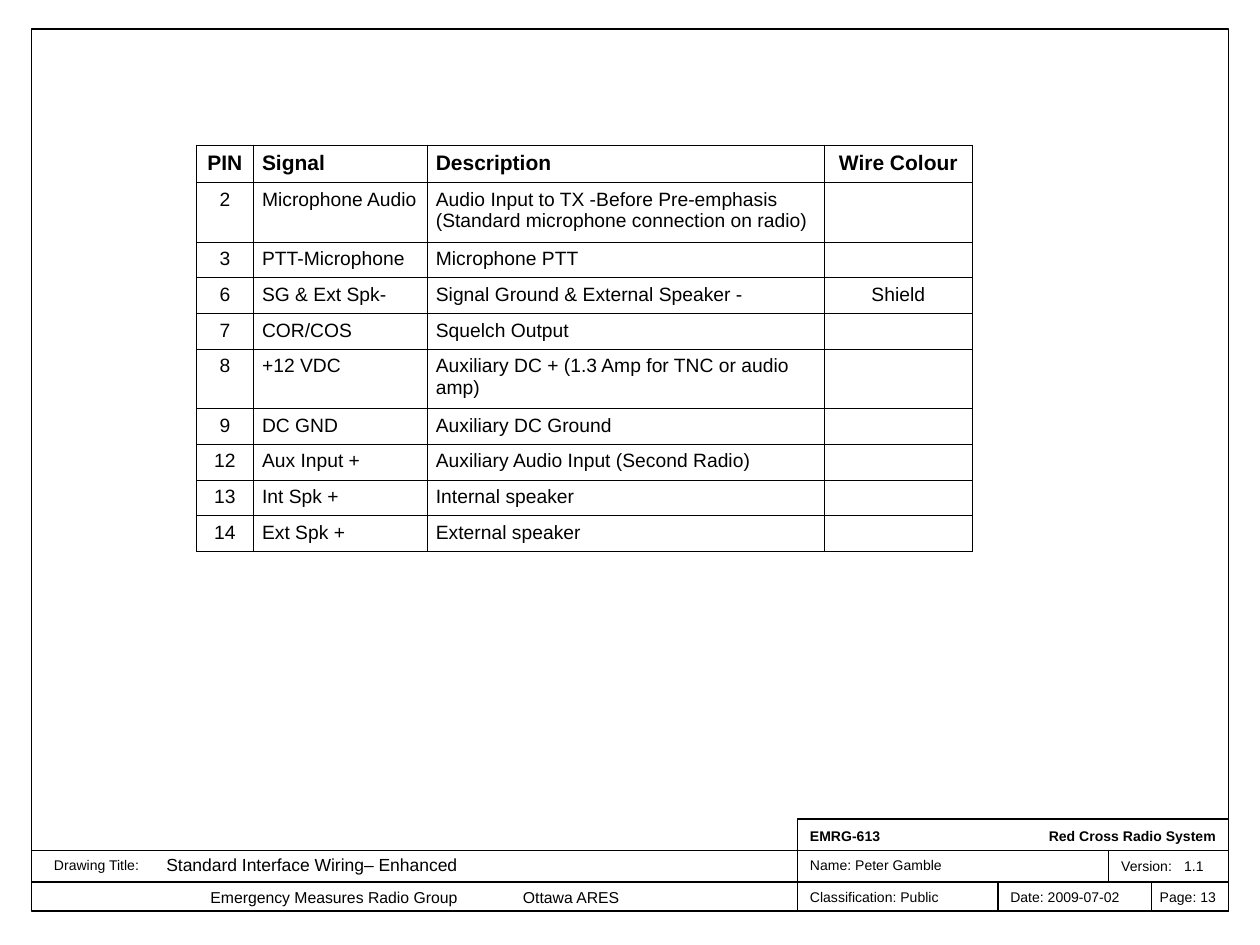
"""Build the connector pin-out drawing sheet with its title block."""
from lxml import etree
from pptx import Presentation
from pptx import util as u
from pptx.dml.color import RGBColor
from pptx.enum import shapes, text
from pptx.oxml.ns import qn

BLACK = RGBColor(0, 0, 0)
WHITE = RGBColor(255, 255, 255)
FONT = "Arial"
LEFT, CENTER, RIGHT = text.PP_ALIGN.LEFT, text.PP_ALIGN.CENTER, text.PP_ALIGN.RIGHT

TITLE = "Standard Interface Wiring– Enhanced"
PINS = [
    ("PIN", "Signal", "Description", "Wire Colour"),
    ("2", "Microphone Audio",
     "Audio Input to TX -Before Pre-emphasis\n(Standard microphone connection on radio)", ""),
    ("3", "PTT-Microphone", "Microphone PTT", ""),
    ("6", "SG & Ext Spk-", "Signal Ground & External Speaker -", "Shield"),
    ("7", "COR/COS", "Squelch Output", ""),
    ("8", "+12 VDC", "Auxiliary DC + (1.3 Amp for TNC or audio amp)", ""),
    ("9", "DC GND", "Auxiliary DC Ground", ""),
    ("12", "Aux Input +", "Auxiliary Audio Input (Second Radio)", ""),
    ("13", "Int Spk +", "Internal speaker", ""),
    ("14", "Ext Spk +", "External speaker", ""),
]
COLUMNS = [(0.45, CENTER), (1.38, LEFT), (3.15, LEFT), (1.18, CENTER)]
TABLE_LEFT, TABLE_TOP, TABLE_HEIGHT = 1.56, 1.15, 3.22
HEADER_HEIGHT, TALL_HEIGHT, TALL_ROWS = 0.3, 0.47, (1, 5)

FRAME_LEFT, FRAME_TOP, FRAME_RIGHT, FRAME_BOTTOM = 0.25, 0.23, 9.75, 7.23
BLOCK_LEFT, BLOCK_TOP, ROW_1, ROW_2 = 6.33, 6.5, 6.75, 7
DATE_X, VERSION_X, PAGE_X = 7.92, 8.8, 9.14

FRAMES = [(FRAME_LEFT, FRAME_TOP), (BLOCK_LEFT, BLOCK_TOP)]
RULES = [
    (FRAME_LEFT, ROW_1, FRAME_RIGHT, ROW_1),
    (FRAME_LEFT, ROW_2, FRAME_RIGHT, ROW_2),
    (VERSION_X, ROW_1, VERSION_X, ROW_2),
    (DATE_X, ROW_2, DATE_X, FRAME_BOTTOM),
    (PAGE_X, ROW_2, PAGE_X, FRAME_BOTTOM),
]
LABELS = [
    ("EMRG-613", BLOCK_LEFT, 6.52, 1, dict(bold=True)),
    ("Red Cross Radio System", 7.33, 6.52, 2.42, dict(bold=True, align=RIGHT)),
    ("Name: Peter Gamble", BLOCK_LEFT, ROW_1, 2.17, {}),
    ("Version:\t1.1", VERSION_X, 6.76, 0.89, dict(tab=0.5)),
    ("Classification: Public", BLOCK_LEFT, ROW_2, 1.58, {}),
    ("Date: 2009-07-02", DATE_X, ROW_2, 1.23, {}),
    ("Page: 13", 9.08, ROW_2, 0.67, dict(align=RIGHT)),
    ("Drawing Title:", 0.33, ROW_1, 1.08, {}),
    ("Emergency Measures Radio Group\tOttawa ARES", 0.33, ROW_2, 5.92,
     dict(size=9, inset=1.34, tab=2.48)),
]


def write(tf, content, size=8, bold=False, align=LEFT, inset=0.1, tab=None):
    """Fill a text frame, one paragraph per line of content."""
    tf.word_wrap = True
    tf.vertical_anchor = text.MSO_ANCHOR.TOP
    tf.margin_left, tf.margin_right = u.Inches(inset), u.Inches(min(inset, 0.1))
    tf.margin_top = tf.margin_bottom = u.Inches(0.05)
    for i, line in enumerate(content.split("\n")):
        p = tf.add_paragraph() if i else tf.paragraphs[0]
        p.alignment = align
        if tab:
            tabs = etree.SubElement(p._p.get_or_add_pPr(), qn("a:tabLst"))
            etree.SubElement(tabs, qn("a:tab"), pos=str(u.Inches(tab)), algn="l")
        if not line:
            etree.SubElement(p._p, qn("a:endParaRPr"), sz=str(size * 100))
            continue
        r = p.add_run()
        r.text = line
        r.font.name, r.font.size, r.font.bold = FONT, u.Pt(size), bold
        r.font.color.rgb = BLACK


def add_frame(s, left, top):
    sp = s.shapes.add_shape(shapes.MSO_SHAPE.RECTANGLE, u.Inches(left), u.Inches(top),
                            u.Inches(FRAME_RIGHT - left), u.Inches(FRAME_BOTTOM - top))
    sp.shadow.inherit = False
    sp.fill.background()
    sp.line.color.rgb, sp.line.width = BLACK, u.Pt(0.75)


def add_rule(s, *ends):
    ln = s.shapes.add_connector(shapes.MSO_CONNECTOR.STRAIGHT, *map(u.Inches, ends))
    ln.line.color.rgb, ln.line.width = BLACK, u.Pt(0.75)
    etree.SubElement(ln._element.spPr, qn("a:effectLst"))


def add_borders(cell):
    tc_pr = cell._tc.get_or_add_tcPr()
    for i, side in enumerate(("lnL", "lnR", "lnT", "lnB")):
        ln = etree.Element(qn(f"a:{side}"), w=str(u.Pt(0.45)))
        fill = etree.SubElement(ln, qn("a:solidFill"))
        etree.SubElement(fill, qn("a:srgbClr"), val=str(BLACK))
        tc_pr.insert(i, ln)


def add_pin_table(s):
    width = sum(w for w, _ in COLUMNS)
    tbl = s.shapes.add_table(len(PINS), len(COLUMNS), u.Inches(TABLE_LEFT), u.Inches(TABLE_TOP),
                             u.Inches(width), u.Inches(TABLE_HEIGHT)).table
    tbl.first_row = tbl.horz_banding = False
    for col, (w, _) in zip(tbl.columns, COLUMNS):
        col.width = u.Inches(w)
    tall = TALL_HEIGHT * len(TALL_ROWS)
    plain = (TABLE_HEIGHT - HEADER_HEIGHT - tall) / (len(PINS) - 1 - len(TALL_ROWS))
    for i, row in enumerate(PINS):
        height = HEADER_HEIGHT if i == 0 else TALL_HEIGHT if i in TALL_ROWS else plain
        tbl.rows[i].height = u.Inches(height)
        for j, value in enumerate(row):
            cell = tbl.cell(i, j)
            write(cell.text_frame, value, size=11 if i else 12, bold=i == 0, align=COLUMNS[j][1])
            cell.margin_left, cell.margin_right = u.Inches(0.07), u.Inches(0.05)
            if COLUMNS[j][1] == CENTER:
                cell.margin_left = cell.margin_right
            cell.margin_top = cell.margin_bottom = u.Inches(0.05)
            cell.vertical_anchor = text.MSO_ANCHOR.TOP
            cell.fill.solid()
            cell.fill.fore_color.rgb = WHITE
            add_borders(cell)


def main():
    prs = Presentation()
    prs.slide_width, prs.slide_height = u.Inches(10), u.Inches(7.5)
    s = prs.slides.add_slide(prs.slide_layouts[5])
    for corner in FRAMES:
        add_frame(s, *corner)
    for ends in RULES:
        add_rule(s, *ends)
    for content, left, top, width, style in LABELS:
        box = s.shapes.add_textbox(*map(u.Inches, (left, top, width, 0.24)))
        write(box.text_frame, content, **style)
    add_pin_table(s)
    title = s.shapes.title
    title.left, title.top, title.width, title.height = map(u.Inches, (1.22, 6.73, 2.7, 0.27))
    title.text_frame.auto_size = text.MSO_AUTO_SIZE.NONE
    write(title.text_frame, TITLE, size=10)
    prs.save("out.pptx")


if __name__ == "__main__":
    main()
